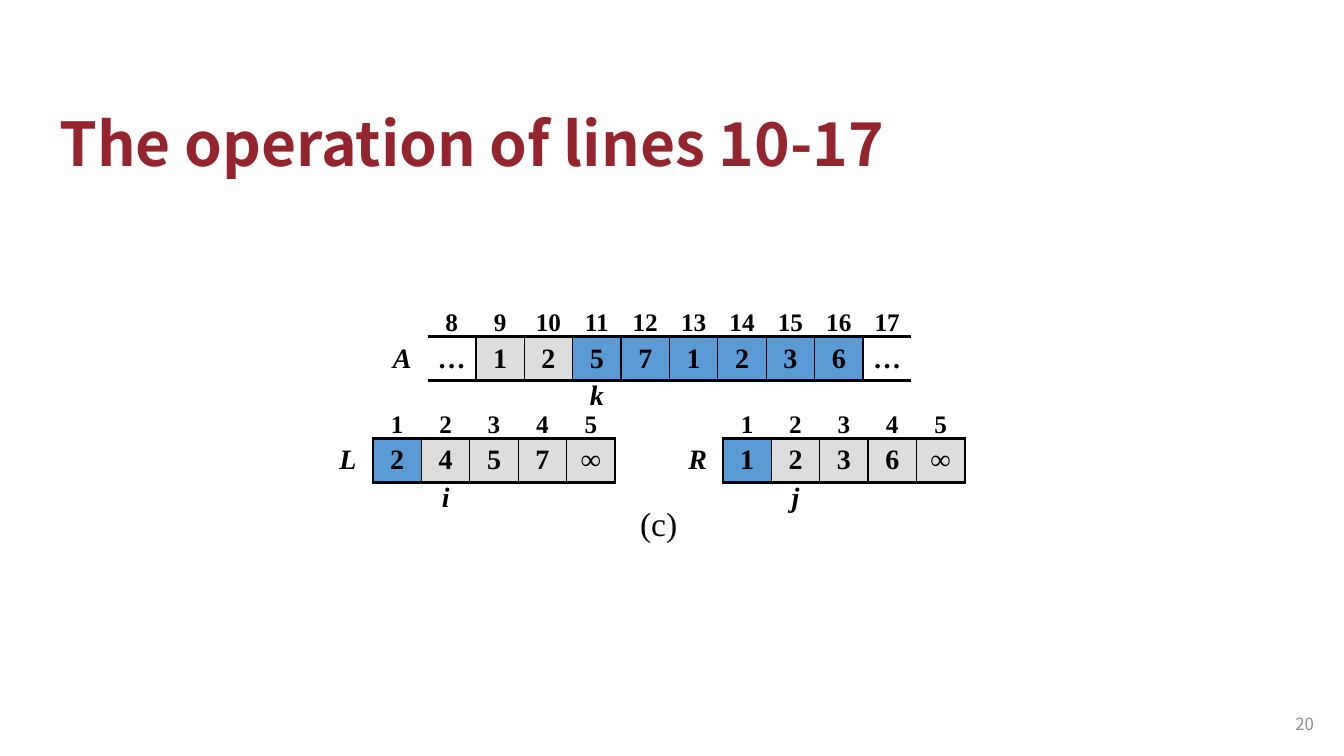
from lxml import etree
from pptx import Presentation
from pptx.dml.color import RGBColor
from pptx.enum.text import MSO_ANCHOR, PP_ALIGN
from pptx.oxml.ns import qn
from pptx.util import Inches, Pt

TOP, MIDDLE, BOTTOM = MSO_ANCHOR.TOP, MSO_ANCHOR.MIDDLE, MSO_ANCHOR.BOTTOM
LEFT, CENTER, RIGHT = PP_ALIGN.LEFT, PP_ALIGN.CENTER, PP_ALIGN.RIGHT
SANS, SERIF = "Noto Sans CJK SC", "Times New Roman"
BLACK, RED, GRAY = "000000", "94252E", "8C8C8C"
PENDING, DONE = "DDDDDD", "5B9BD5"
THICK, THIN = 2.25, 1
NAME_WIDTH, CELL_WIDTH = 0.5, 0.48
ROW_HEIGHTS = (0.39, 0.43, 0.39)


def color(value):
    """Turn a hex string into a colour."""
    return RGBColor.from_string(value)


def write(frame, text, size=20, font=SERIF, fill=BLACK, bold=False,
          italic=False, align=LEFT, spacing=None):
    """Put formatted text into a text frame."""
    paragraph = frame.paragraphs[0]
    paragraph.alignment = align
    paragraph.line_spacing = spacing
    run = paragraph.add_run()
    run.text = text
    run.font.size = Pt(size)
    run.font.name = font
    run.font.bold = bold
    run.font.italic = italic
    run.font.color.rgb = color(fill)


def add_text(slide, box, text, anchor=TOP, wrap=True, **text_format):
    """Add a text box that fills the given box."""
    frame = slide.shapes.add_textbox(*map(Inches, box)).text_frame
    frame.word_wrap = wrap
    frame.vertical_anchor = anchor
    write(frame, text, **text_format)


def set_borders(cell, **widths):
    """Draw the named sides of a cell and clear the others."""
    properties = cell._tc.get_or_add_tcPr()
    for side in "LRTB":
        line = etree.SubElement(properties, qn(f"a:ln{side}"))
        if side in widths:
            line.set("w", str(Pt(widths[side])))
            solid = etree.SubElement(line, qn("a:solidFill"))
            etree.SubElement(solid, qn("a:srgbClr"), val=BLACK)
        else:
            line.set("w", "0")
            etree.SubElement(line, qn("a:noFill"))


def fill_cell(cell, text="", fill=None, borders=None, anchor=MIDDLE,
              top=0.05, bottom=0.05, **text_format):
    """Set the borders, fill, margins and text of a table cell."""
    set_borders(cell, **(borders or {}))
    if fill:
        cell.fill.solid()
        cell.fill.fore_color.rgb = color(fill)
    else:
        cell.fill.background()
    cell.margin_left = cell.margin_right = Inches(0.05)
    cell.margin_top = Inches(top)
    cell.margin_bottom = Inches(bottom)
    cell.vertical_anchor = anchor
    if text:
        write(cell.text_frame, text, bold=True, align=CENTER, **text_format)


def add_array(slide, left, top, name, first_index, values, fills, pointer,
              pointer_column, end_width):
    """Add an array with its indices above and its pointer below."""
    count = len(values)
    width = NAME_WIDTH + count * CELL_WIDTH
    box = (left, top, width, sum(ROW_HEIGHTS))
    table = slide.shapes.add_table(3, count + 1, *map(Inches, box)).table
    table.first_row = table.horz_banding = False
    for row, height in zip(table.rows, ROW_HEIGHTS):
        row.height = Inches(height)
    for column in table.columns:
        column.width = Inches(CELL_WIDTH)
    table.columns[0].width = Inches(NAME_WIDTH)

    end = {"R": end_width} if end_width else {}
    fill_cell(table.cell(0, 0), top=0, bottom=0)
    fill_cell(table.cell(1, 0), name, italic=True, borders=end)
    fill_cell(table.cell(2, 0), top=0, bottom=0)
    for column, (value, fill) in enumerate(zip(values, fills), 1):
        sides = {"T": THICK, "B": THICK, "L": THIN, "R": THIN}
        for side, edge in (("L", 1), ("R", count)):
            if column == edge:
                sides.pop(side)
                if end_width:
                    sides[side] = end_width
        fill_cell(table.cell(0, column), str(first_index + column - 1), size=18,
                  anchor=BOTTOM, bottom=0, borders={"B": THICK})
        fill_cell(table.cell(1, column), value, fill, sides)
        fill_cell(table.cell(2, column), pointer if column == pointer_column else "",
                  anchor=TOP, top=0, italic=True, borders={"T": THICK})


def add_merge_step(slide, left, top):
    """Add the merged array, the two halves below it and the step label."""
    add_array(slide, left + 0.54, top, "A", 8, "…12571236…",
              [None] + [PENDING] * 2 + [DONE] * 6 + [None], "k", 4, None)
    half_fills = [DONE] + [PENDING] * 4
    for offset, name, values, pointer in ((0, "L", "2457∞", "i"),
                                          (3.47, "R", "1236∞", "j")):
        add_array(slide, left + offset, top + 1.01, name, 1, values,
                  half_fills, pointer, 2, THICK)
    add_text(slide, (left + 3.05, top + 1.99, 0.57, 0.5), "(c)", wrap=False, size=24)


def main():
    """Build and save the slide."""
    presentation = Presentation()
    presentation.slide_width = Inches(13.33)
    presentation.slide_height = Inches(7.5)
    slide = presentation.slides.add_slide(presentation.slide_layouts[6])
    add_text(slide, (12.53, 6.98, 0.6, 0.4), "20", MIDDLE, size=12,
             font=SANS, fill=GRAY, align=RIGHT)
    add_text(slide, (0.49, 0.88, 8.43, 0.95), "The operation of lines 10-17", BOTTOM,
             size=43.2, font=SANS, fill=RED, bold=True, spacing=0.9)
    add_merge_step(slide, 3.2, 2.95)
    presentation.save("out.pptx")


if __name__ == "__main__":
    main()
